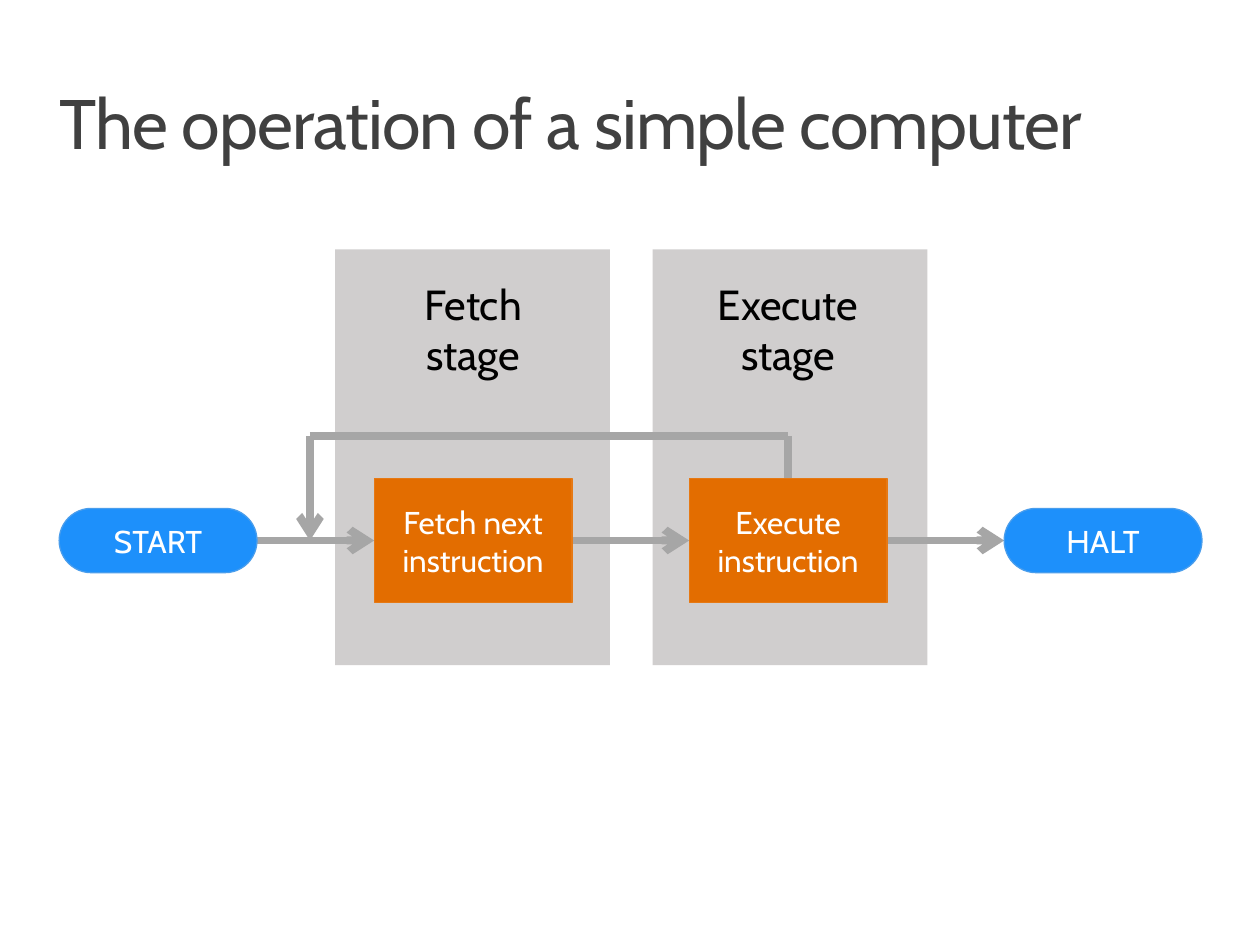
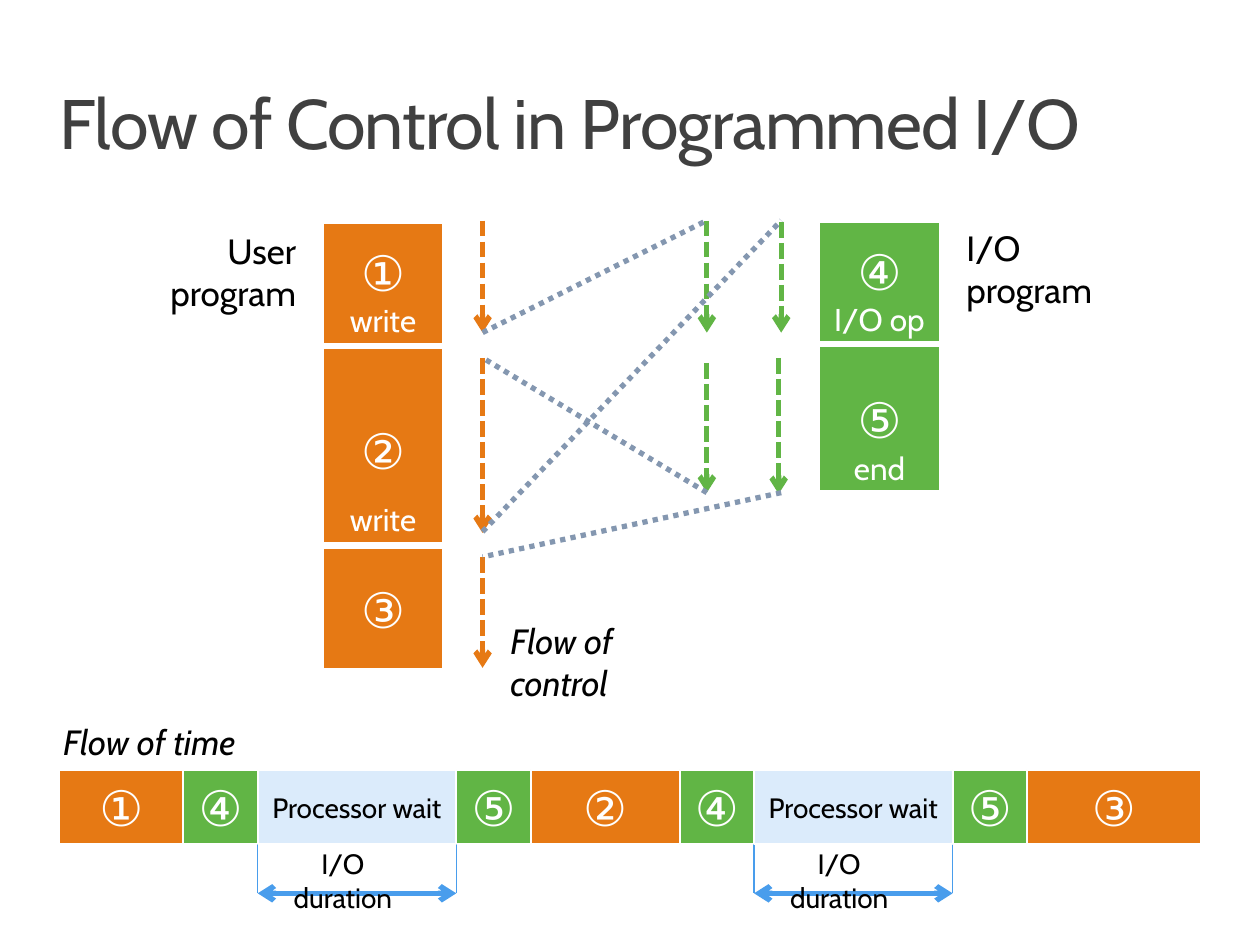
from pptx import Presentation
from pptx.dml.color import RGBColor
from pptx.enum.dml import MSO_LINE
from pptx.enum.shapes import MSO_CONNECTOR, MSO_SHAPE
from pptx.enum.text import MSO_ANCHOR, PP_ALIGN
from pptx.oxml.ns import qn
from pptx.util import Inches, Pt
from lxml.etree import SubElement

FONT = "Cabin"
WHITE = RGBColor(0xFF, 0xFF, 0xFF)
BLACK = RGBColor(0x00, 0x00, 0x00)
TITLE_GRAY = RGBColor(0x40, 0x40, 0x40)
BAND_GRAY = RGBColor(0xD0, 0xCE, 0xCE)
ARROW_GRAY = RGBColor(0xA6, 0xA6, 0xA6)
START_BLUE = RGBColor(0x1D, 0x90, 0xFB)
LINE_BLUE = RGBColor(0x49, 0x9D, 0xEC)
PALE_BLUE = RGBColor(0xDB, 0xEB, 0xFB)
DEEP_ORANGE = RGBColor(0xE3, 0x6D, 0x00)
ORANGE = RGBColor(0xE6, 0x79, 0x14)
GREEN = RGBColor(0x61, 0xB5, 0x45)
DOT_BLUE = RGBColor(0x84, 0x97, 0xB0)

# ---- Content: the operation of a simple computer ----
COMPUTER_TITLE = "The operation of a simple computer"
STAGES = [("Fetch stage", 2.66), ("Execute stage", 5.18)]  # label, band left
STEPS = [
    (["START"], "end"),
    (["Fetch next", "instruction"], "work"),
    (["Execute", "instruction"], "work"),
    (["HALT"], "end"),
]
STEP_LOOK = {  # shape, height, fill, outline
    "end": (MSO_SHAPE.FLOWCHART_TERMINATOR, 0.51, START_BLUE, LINE_BLUE),
    "work": (MSO_SHAPE.RECTANGLE, 0.98, DEEP_ORANGE, ORANGE),
}
STEP_LEFT, STEP_PITCH, STEP_WIDTH, STEP_MIDDLE = 0.47, 2.5, 1.57, 4.29
LOOP_LEFT, LOOP_TOP = 2.46, 3.46

# ---- Content: programmed I/O ----
IO_TITLE = "Flow of Control in Programmed I/O"
PROGRAM_BLOCKS = [  # number, closing word, gap between them, left, top, height, fill
    ("①", "write", 0, 2.55, 1.76, 0.98, ORANGE),
    ("②", "write", 12, 2.55, 2.75, 1.57, ORANGE),
    ("③", "", 0, 2.55, 4.34, 0.98, ORANGE),
    ("④", "I/O op", 0, 6.49, 1.75, 0.98, GREEN),
    ("⑤", "end", 0, 6.49, 2.73, 1.18, GREEN),
]
CONTROL_ARROWS = [  # x, top, bottom, colour
    (3.83, 1.75, 2.64, ORANGE), (3.83, 2.84, 4.23, ORANGE), (3.83, 4.42, 5.3, ORANGE),
    (5.61, 1.75, 2.64, GREEN), (5.61, 2.88, 3.91, GREEN),
    (6.2, 1.76, 2.64, GREEN), (6.18, 2.84, 3.92, GREEN),
]
JUMPS = [
    (3.83, 2.64, 5.61, 1.75), (5.61, 3.91, 3.83, 2.84),
    (3.83, 4.22, 6.2, 1.75), (6.2, 3.91, 3.83, 4.42),
]
CAPTIONS = [  # text, left, top, width, side inset, alignment, italic
    ("Flow of time", 0.5, 5.67, 1.42, 0, PP_ALIGN.LEFT, True),
    ("User program", 0.75, 1.77, 1.8, 0.2, PP_ALIGN.RIGHT, False),
    ("I/O program", 7.47, 1.75, 1.67, 0.2, PP_ALIGN.LEFT, False),
    ("Flow of control", 3.85, 4.87, 1.85, 0.2, PP_ALIGN.LEFT, True),
]
WAIT = "Processor wait"
DURATION = "I/O duration"
TIMELINE = [  # label, width in time units
    ("①", 5), ("④", 3), (WAIT, 8), ("⑤", 3), ("②", 6),
    ("④", 3), (WAIT, 8), ("⑤", 3), ("③", 7),
]
TIMELINE_LEFT, TIMELINE_TOP, TIMELINE_HEIGHT = 0.47, 6.11, 0.59
TIME_UNIT = 9.06 / sum(units for _, units in TIMELINE)
DURATION_Y = 7.09


# ---- Shared drawing ----
def add_words(paragraph, words, size, color, italic=None):
    run = paragraph.add_run()
    run.text = words
    run.font.name, run.font.size, run.font.italic = FONT, Pt(size), italic
    run.font.color.rgb = color
    return run


def add_block(slide, preset, left, top, width, height, fill, outline=None, weight=0.75):
    block = slide.shapes.add_shape(
        preset, Inches(left), Inches(top), Inches(width), Inches(height))
    block.shadow.inherit = False
    block.fill.solid()
    block.fill.fore_color.rgb = fill
    if outline is None:
        block.line.fill.background()
    else:
        block.line.color.rgb = outline
        block.line.width = Pt(weight)
    frame = block.text_frame
    frame.word_wrap = True
    frame.margin_left = frame.margin_right = Inches(0.05)
    frame.vertical_anchor = MSO_ANCHOR.MIDDLE
    frame.paragraphs[0].alignment = PP_ALIGN.CENTER
    return block


def add_label(slide, words, left, top, width, height, size,
              align=PP_ALIGN.CENTER, inset=0.1, italic=None, color=BLACK):
    frame = slide.shapes.add_textbox(
        Inches(left), Inches(top), Inches(width), Inches(height)).text_frame
    frame.word_wrap = True
    frame.margin_left = frame.margin_right = Inches(inset)
    paragraph = frame.paragraphs[0]
    paragraph.alignment = align
    return paragraph, add_words(paragraph, words, size, color, italic)


def add_line(slide, x1, y1, x2, y2, color, weight, dash=None, ends=()):
    line = slide.shapes.add_connector(
        MSO_CONNECTOR.STRAIGHT, Inches(x1), Inches(y1), Inches(x2), Inches(y2))
    line.line.color.rgb = color
    line.line.width = Pt(weight)
    if dash is not None:
        line.line.dash_style = dash
    properties = line._element.spPr
    for end in ends:
        SubElement(properties.find(qn("a:ln")), qn(f"a:{end}")).set("type", "arrow")
    SubElement(properties, qn("a:effectLst"))
    return line


def add_title(slide, words):
    paragraph, run = add_label(slide, words, 0.47, 0.71, 9.06, 0.89, 40,
                               PP_ALIGN.LEFT, 0, color=TITLE_GRAY)
    paragraph.line_spacing = 0.8
    run.font._element.set("spc", "-50")


# ---- Slides ----
def draw_computer(slide):
    for _, left in STAGES:
        add_block(slide, MSO_SHAPE.RECTANGLE, left, 1.98, 2.18, 3.3, BAND_GRAY)
    add_title(slide, COMPUTER_TITLE)

    # Arrows from step to step, joined once the steps exist
    lefts = [STEP_LEFT + STEP_PITCH * i for i in range(len(STEPS))]
    arrows = [add_line(slide, left + STEP_WIDTH, STEP_MIDDLE, following, STEP_MIDDLE,
                       ARROW_GRAY, 4.5, ends=["tailEnd"])
              for left, following in zip(lefts, lefts[1:])]

    # Loop back from execute to fetch
    loop_right = lefts[2] + STEP_WIDTH / 2
    loop_start = add_line(slide, loop_right, LOOP_TOP, loop_right, 3.8, ARROW_GRAY, 4.5)
    add_line(slide, LOOP_LEFT, LOOP_TOP, loop_right, LOOP_TOP, ARROW_GRAY, 4.5)
    add_line(slide, LOOP_LEFT, LOOP_TOP, LOOP_LEFT, STEP_MIDDLE, ARROW_GRAY, 4.5,
             ends=["tailEnd"])

    # Steps
    steps = []
    for (lines, kind), left in zip(STEPS, lefts):
        preset, height, fill, outline = STEP_LOOK[kind]
        step = add_block(slide, preset, left, STEP_MIDDLE - height / 2,
                         STEP_WIDTH, height, fill, outline)
        paragraph = step.text_frame.paragraphs[0]
        for i, words in enumerate(lines):
            if i:
                paragraph.add_line_break()
            add_words(paragraph, words, 18, WHITE)
        steps.append(step)
    for arrow, step, following in zip(arrows, steps, steps[1:]):
        arrow.begin_connect(step, 3)
        arrow.end_connect(following, 1)
    loop_start.end_connect(steps[2], 0)

    # Stage names above the working steps
    for (name, _), left in zip(STAGES, lefts[1:]):
        add_label(slide, name, left - 0.02, 2.16, 1.61, 0.9, 24)


def draw_wait(slide, left, width):
    right = left + width
    middle = TIMELINE_TOP + TIMELINE_HEIGHT / 2
    bounds = [add_line(slide, x, middle, x, DURATION_Y, LINE_BLUE, 0.75)
              for x in (left, right)]
    wait = add_block(slide, MSO_SHAPE.RECTANGLE, left, TIMELINE_TOP, width,
                     TIMELINE_HEIGHT, PALE_BLUE, WHITE, 1)
    add_words(wait.text_frame.paragraphs[0], WAIT, 16, BLACK)
    for bound, side in zip(bounds, (1, 3)):
        bound.begin_connect(wait, side)
    add_line(slide, left, DURATION_Y, right, DURATION_Y, LINE_BLUE, 3,
             ends=["headEnd", "tailEnd"])
    add_label(slide, DURATION, left + 0.08, 6.67, 1.19, 0.6, 16)


def draw_programmed_io(slide):
    add_title(slide, IO_TITLE)
    fills = {number: fill for number, *_, fill in PROGRAM_BLOCKS}

    # Timeline, with the waits laid over the program parts
    left, waits = TIMELINE_LEFT, []
    for label, units in TIMELINE:
        width = units * TIME_UNIT
        if label == WAIT:
            waits.append((left, width))
        else:
            part = add_block(slide, MSO_SHAPE.RECTANGLE, left, TIMELINE_TOP, width,
                             TIMELINE_HEIGHT, fills[label], WHITE, 1)
            add_words(part.text_frame.paragraphs[0], label, 28, WHITE)
        left += width

    # User program and I/O program
    for number, closing, gap, left, top, height, fill in PROGRAM_BLOCKS:
        frame = add_block(slide, MSO_SHAPE.RECTANGLE, left, top, 0.98, height,
                          fill, WHITE, 3).text_frame
        add_words(frame.paragraphs[0], number, 28, WHITE)
        if closing:
            frame.vertical_anchor = MSO_ANCHOR.BOTTOM
            paragraph = frame.add_paragraph()
            paragraph.alignment = PP_ALIGN.CENTER
            paragraph.space_before = Pt(gap)
            add_words(paragraph, closing, 18, WHITE)

    # Flow of control
    for x, top, bottom, color in CONTROL_ARROWS:
        add_line(slide, x, top, x, bottom, color, 3, MSO_LINE.SQUARE_DOT, ["tailEnd"])
    for jump in JUMPS:
        add_line(slide, *jump, DOT_BLUE, 3, MSO_LINE.ROUND_DOT)

    for left, width in waits:
        draw_wait(slide, left, width)
    for words, left, top, width, inset, align, italic in CAPTIONS:
        add_label(slide, words, left, top, width, 0.44, 20, align, inset, italic)


def main():
    deck = Presentation()
    deck.slide_width, deck.slide_height = Inches(10), Inches(7.5)
    for draw in (draw_computer, draw_programmed_io):
        draw(deck.slides.add_slide(deck.slide_layouts[6]))
    deck.save("out.pptx")


if __name__ == "__main__":
    main()
